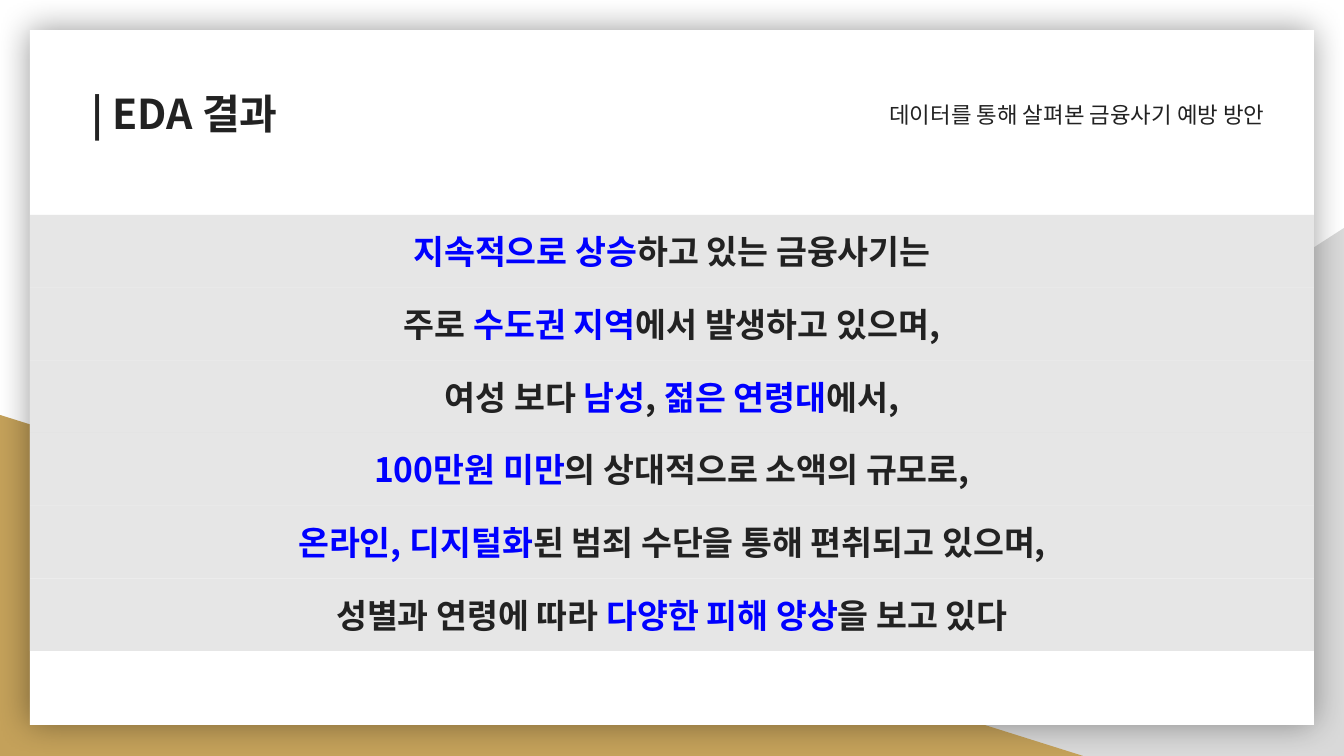
from pptx import Presentation
from pptx.dml.color import RGBColor
from pptx.enum.shapes import MSO_SHAPE
from pptx.enum.text import MSO_ANCHOR, PP_ALIGN
from pptx.oxml import parse_xml
from pptx.oxml.ns import nsdecls, qn
from pptx.util import Emu, Pt
from lxml.etree import SubElement

PX = 914400 / 134.4
FONT = "Noto Sans CJK KR"
INK, BLUE, GRAY, GOLD, WHITE = "222222", "0000FF", "D9D9D9", "C4A15A", "FFFFFF"


def add_panel(kind, left, top, width, height, color):
    box = [Emu(round(v * PX)) for v in (left, top, width, height)]
    panel = slide.shapes.add_shape(kind, *box)
    panel.shadow.inherit = False
    panel.line.fill.background()
    panel.fill.solid()
    panel.fill.fore_color.rgb = RGBColor.from_string(color)
    return panel


def write_line(frame, runs, size, bold, align, anchor):
    frame.word_wrap = True
    frame.vertical_anchor = anchor
    frame.margin_left = frame.margin_right = Pt(7.2)
    frame.margin_top = frame.margin_bottom = Pt(7.2)
    line = frame.paragraphs[0]
    line.alignment = align
    for words, color in runs:
        run = line.add_run()
        run.text = words
        run.font.size = Pt(size)
        run.font.bold = bold
        run.font.name = FONT
        run.font.color.rgb = RGBColor.from_string(color)
        SubElement(run.font._element, qn("a:ea")).set("typeface", FONT)


deck = Presentation()
deck.slide_width, deck.slide_height = Emu(round(1344 * PX)), Emu(round(756 * PX))
slide = deck.slides.add_slide(deck.slide_layouts[6])

# Background corners
gray_corner = add_panel(MSO_SHAPE.RIGHT_TRIANGLE, 527, 228, 817, 528, GRAY)
gray_corner._element.spPr.find(qn("a:xfrm")).set("flipH", "1")
add_panel(MSO_SHAPE.RIGHT_TRIANGLE, 0, 415, 1083, 341, GOLD)

# White card with a soft shadow all round
card = add_panel(MSO_SHAPE.RECTANGLE, 30, 30, 1284, 695, WHITE)
card._element.spPr.find(qn("a:effectLst")).append(parse_xml(
    f'<a:outerShdw {nsdecls("a")} blurRad="{Pt(18)}" dist="0" dir="0" '
    'algn="ctr" rotWithShape="0"><a:srgbClr val="000000">'
    '<a:alpha val="40000"/></a:srgbClr></a:outerShdw>'))

# Heading and running subject
headings = [
    ((78, 75, 923, 99), "| EDA 결과", 22, True, PP_ALIGN.LEFT, MSO_ANCHOR.TOP),
    ((714, 65, 564, 99), "데이터를 통해 살펴본 금융사기 예방 방안", 12, False,
     PP_ALIGN.RIGHT, MSO_ANCHOR.MIDDLE),
]
for box, words, size, bold, align, anchor in headings:
    heading = slide.shapes.add_textbox(*[Emu(round(v * PX)) for v in box])
    write_line(heading.text_frame, [(words, INK)], size, bold, align, anchor)

# Findings, one translucent band each
findings = [
    [("지속적으로 상승", BLUE), ("하고 있는 금융사기는", INK)],
    [("주로 ", INK), ("수도권 지역", BLUE), ("에서 발생하고 있으며,", INK)],
    [("여성 보다 ", INK), ("남성", BLUE), (", ", INK), ("젊은 연령대", BLUE),
     ("에서,", INK)],
    [("100만원 미만", BLUE), ("의 상대적으로 소액의 규모로,", INK)],
    [("온라인, 디지털화", BLUE), ("된 범죄 수단을 통해 편취되고 있으며,", INK)],
    [("성별과 연령에 따라 ", INK), ("다양한 피해 양상", BLUE), ("을 보고 있다", INK)],
]
BANDS_TOP, BANDS_HEIGHT = 215, 436
band_height = BANDS_HEIGHT / len(findings)
for row, runs in enumerate(findings):
    band = add_panel(MSO_SHAPE.RECTANGLE, 30, BANDS_TOP + row * band_height,
                     1284, band_height, GRAY)
    band_color = band._element.spPr.find(qn("a:solidFill"))[0]
    SubElement(band_color, qn("a:alpha")).set("val", "64000")
    write_line(band.text_frame, runs, 18, True, PP_ALIGN.CENTER, MSO_ANCHOR.MIDDLE)

deck.save("out.pptx")
